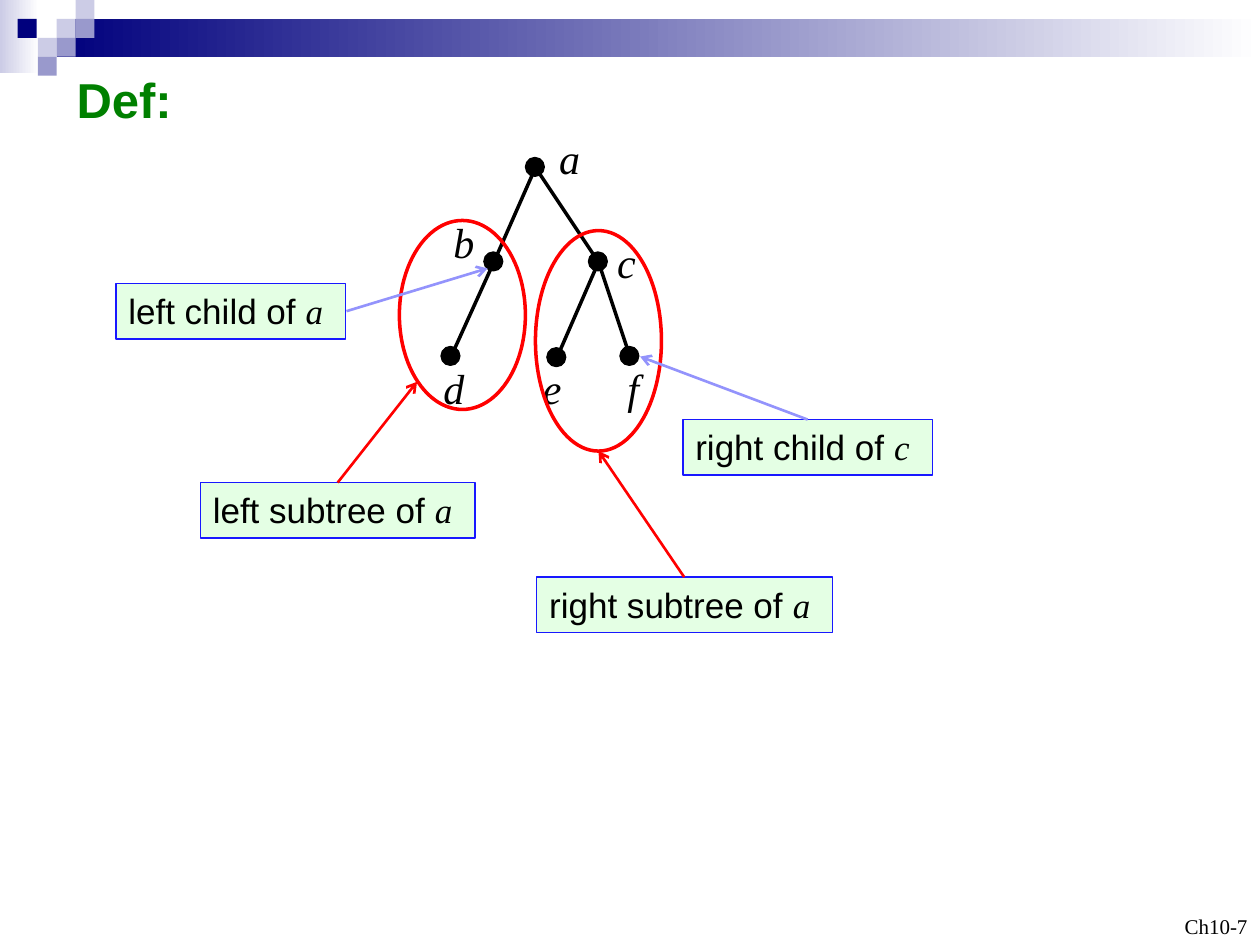
from lxml import etree
from pptx import Presentation
from pptx.dml.color import RGBColor
from pptx.enum import shapes, text
from pptx.oxml import ns
from pptx.util import Inches, Pt

BLACK = RGBColor(0x00, 0x00, 0x00)
WHITE = RGBColor(0xFF, 0xFF, 0xFF)
NAVY = RGBColor(0x00, 0x00, 0x7D)
LAVENDER = RGBColor(0xCC, 0xCC, 0xE6)
PERIWINKLE = RGBColor(0x99, 0x99, 0xCC)
GREEN = RGBColor(0x00, 0x80, 0x00)
MINT = RGBColor(0xCC, 0xFF, 0xCC)
BLUE = RGBColor(0x18, 0x18, 0xFF)
PALE_BLUE = RGBColor(0x93, 0x93, 0xFC)
RED = RGBColor(0xFF, 0x00, 0x00)
SANS, SERIF = "Arial", "Times New Roman"
RECT, OVAL = shapes.MSO_SHAPE.RECTANGLE, shapes.MSO_SHAPE.OVAL

prs = Presentation()
prs.slide_width, prs.slide_height = Inches(10), Inches(7.5)
s = prs.slides.add_slide(prs.slide_layouts[6])


def add_shape(kind, box, fill=None, line=None, width=0.75):
    sp = s.shapes.add_shape(kind, *[Inches(v) for v in box])
    sp.shadow.inherit = False
    if fill is None:
        sp.fill.background()
    else:
        sp.fill.solid()
        sp.fill.fore_color.rgb = fill
    if line is None:
        sp.line.fill.background()
    else:
        sp.line.color.rgb = line
        sp.line.width = Pt(width)
    return sp


def add_line(start, end, color, width, arrow=False):
    cx = s.shapes.add_connector(shapes.MSO_CONNECTOR.STRAIGHT,
                                *[Inches(v) for v in (*start, *end)])
    cx.line.color.rgb = color
    cx.line.width = Pt(width)
    if arrow:
        etree.SubElement(cx.line._get_or_add_ln(), ns.qn("a:tailEnd"), type="arrow")
    etree.SubElement(cx._element.spPr, ns.qn("a:effectLst"))


# Header: gradient bands, then small squares
for box, color in [((0, 0, 0.31, 0.58), LAVENDER), ((0.45, 0.15, 9.55, 0.3), NAVY)]:
    sp = add_shape(RECT, box)
    sp.fill.gradient()
    sp.fill.gradient_angle = 0
    for stop, rgb in zip(sp.fill.gradient_stops, (color, WHITE)):
        stop.color.rgb = rgb

for x, y, color in [
    (0.45, 0.15, LAVENDER), (0.6, 0, LAVENDER), (0.6, 0.15, PERIWINKLE),
    (0.3, 0.3, LAVENDER), (0.14, 0.15, NAVY), (0.45, 0.3, PERIWINKLE),
    (0.3, 0.45, PERIWINKLE),
]:
    add_shape(RECT, (x, y, 0.15, 0.15), color)

# Tree: edges, then nodes on top
nodes = {"a": (4.25, 1.33), "b": (3.92, 2.08), "c": (4.75, 2.08),
         "d": (3.58, 2.83), "e": (4.42, 2.84), "f": (5, 2.83)}
for parent, child in ["ab", "ac", "bd", "ce", "cf"]:
    add_line(nodes[parent], nodes[child], BLACK, 2)
for x, y in nodes.values():
    add_shape(OVAL, (x - 0.08, y - 0.08, 0.15, 0.15), BLACK, BLACK)

# Title and node labels
labels = [("Def:", (0.51, 0.5, 1.06, 0.57), SANS, 28, GREEN)]
for name, x, y, w in [("a", 4.34, 1, 0.36), ("b", 3.5, 1.67, 0.36),
                      ("c", 4.8, 1.83, 0.35), ("d", 3.42, 2.83, 0.36),
                      ("e", 4.21, 2.83, 0.35), ("f", 4.88, 2.83, 0.29)]:
    labels.append((name, (x, y, w, 0.5), SERIF, 24, BLACK))
for label, box, font, size, color in labels:
    tf = s.shapes.add_textbox(*[Inches(v) for v in box]).text_frame
    tf.word_wrap = False
    p = tf.paragraphs[0]
    p.text = label
    p.font.name, p.font.size = font, Pt(size)
    p.font.color.rgb = color
    p.font.bold = font == SANS
    p.font.italic = font == SERIF

# Subtree outlines
for box in [(3.17, 1.75, 1, 1.5), (4.25, 1.83, 1, 1.75)]:
    add_shape(OVAL, box, line=RED, width=2)

# Callouts with their arrows
for words, name, x, y, w, start, end, color in [
    ("left child of ", "a", 0.92, 2.25, 1.82, (2.75, 2.47), (3.87, 2.13), PALE_BLUE),
    ("right child of ", "c", 5.42, 3.33, 1.98, (6.41, 3.33), (5.08, 2.83), PALE_BLUE),
    ("left subtree of ", "a", 1.59, 3.83, 2.18, (2.68, 3.83), (3.31, 3.03), RED),
    ("right subtree of ", "a", 4.26, 4.58, 2.35, (5.43, 4.58), (4.75, 3.58), RED),
]:
    sp = add_shape(RECT, (x, y, w, 0.44), MINT, BLUE)
    rgb = sp._element.spPr.find(ns.qn("a:solidFill")).find(ns.qn("a:srgbClr"))
    etree.SubElement(rgb, ns.qn("a:alpha"), val="52000")
    tf = sp.text_frame
    tf.word_wrap = False
    tf.vertical_anchor = text.MSO_ANCHOR.TOP
    p = tf.paragraphs[0]
    p.alignment = text.PP_ALIGN.LEFT
    for part, font in [(words, SANS), (name, SERIF)]:
        r = p.add_run()
        r.text = part
        r.font.name, r.font.size = font, Pt(20)
        r.font.italic = font == SERIF
        r.font.color.rgb = BLACK
    add_line(start, end, color, 1.5, arrow=True)

# Page number
tf = s.shapes.add_textbox(Inches(7.67), Inches(7), Inches(2.33), Inches(0.5)).text_frame
tf.word_wrap = True
tf.vertical_anchor = text.MSO_ANCHOR.BOTTOM
p = tf.paragraphs[0]
p.text = "Ch10-7"
p.alignment = text.PP_ALIGN.RIGHT
p.font.name, p.font.size = SERIF, Pt(12)
p.font.color.rgb = BLACK

prs.save("out.pptx")
